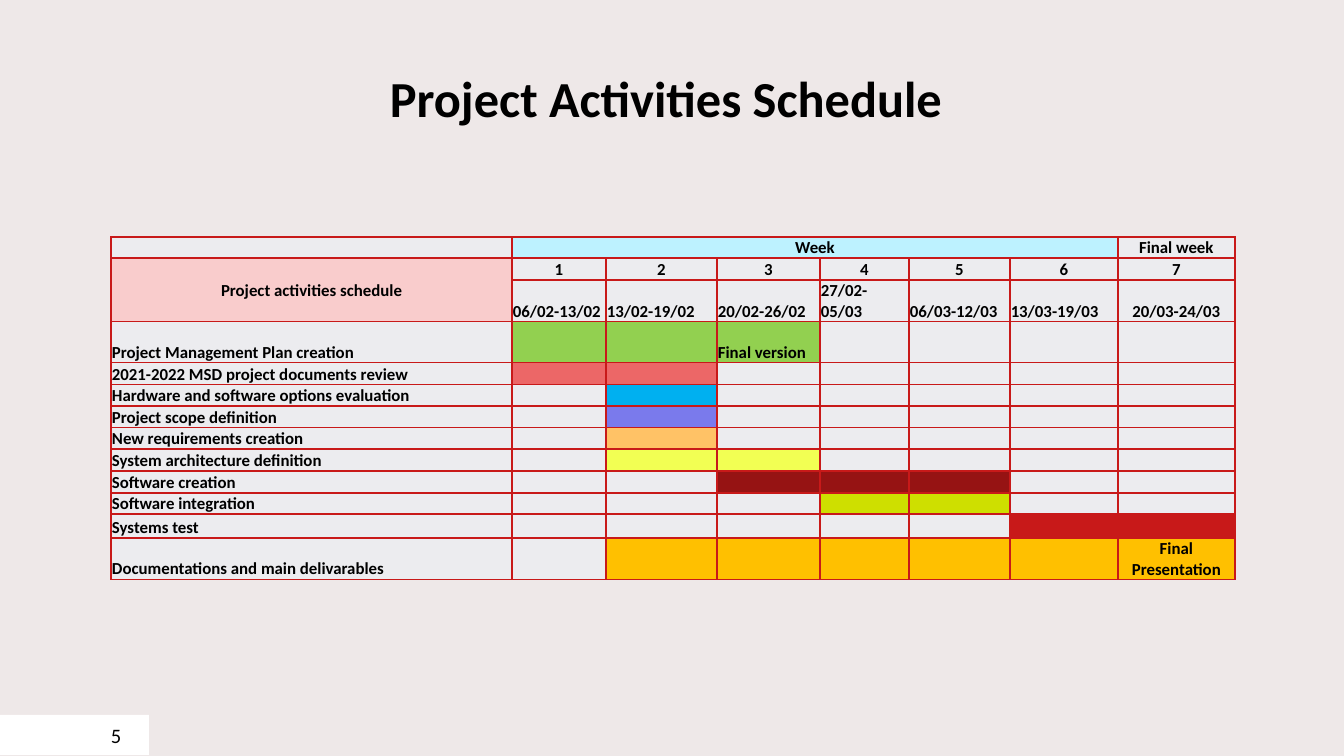
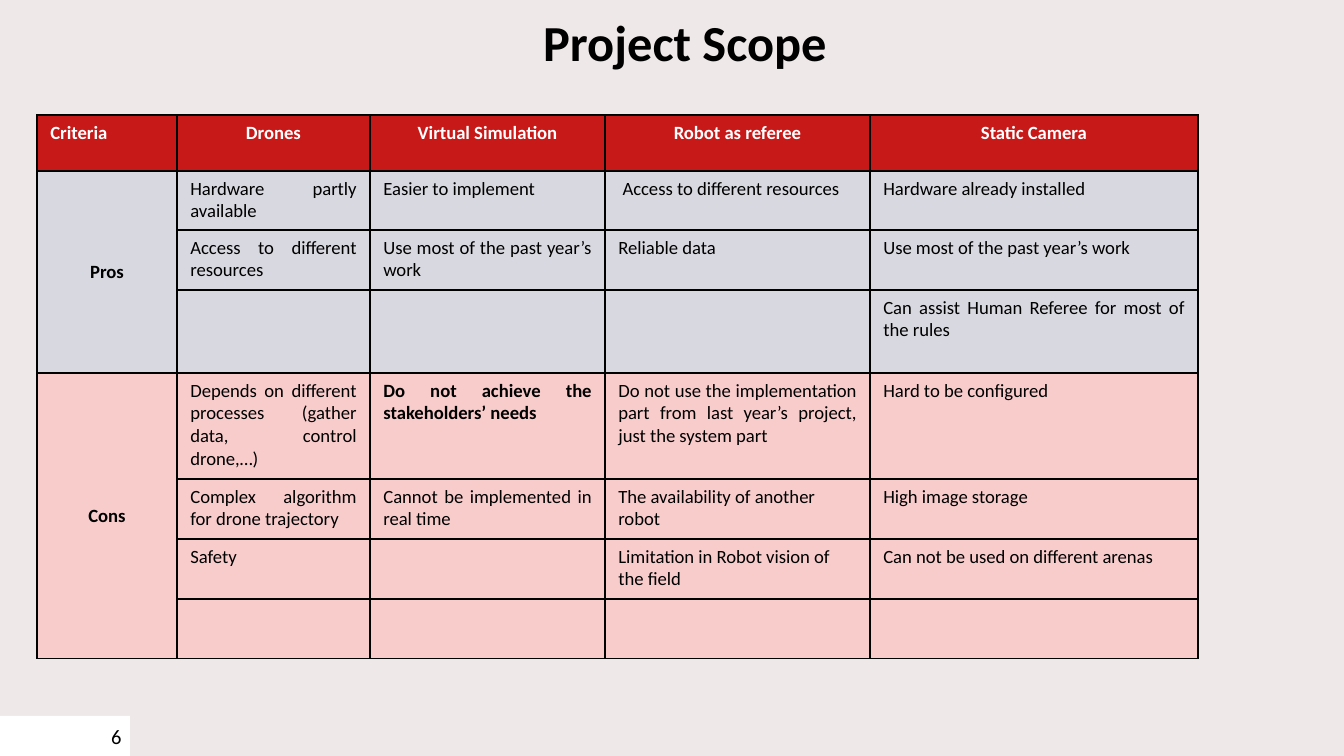
from lxml.etree import SubElement
from pptx import Presentation
from pptx.dml.color import RGBColor
from pptx.enum.shapes import MSO_SHAPE
from pptx.enum.text import MSO_ANCHOR, PP_ALIGN
from pptx.oxml.ns import qn
from pptx.util import Pt

SCALE = 914400 / 134.4
BACK = RGBColor(0xEE, 0xE8, 0xE8)
BLACK = RGBColor(0, 0, 0)
WHITE = RGBColor(0xFF, 0xFF, 0xFF)
RED = RGBColor(0xC8, 0x19, 0x19)
PINK = RGBColor(0xF9, 0xCC, 0xCC)
GREY = RGBColor(0xEC, 0xEC, 0xEF)
SLATE = RGBColor(0xD8, 0xD8, 0xE0)
AQUA = RGBColor(0xBD, 0xF2, 0xFF)
GREEN = RGBColor(0x92, 0xD0, 0x50)
CORAL = RGBColor(0xEC, 0x67, 0x67)
BLUE = RGBColor(0x00, 0xB0, 0xF0)
VIOLET = RGBColor(0x7A, 0x7A, 0xEC)
PEACH = RGBColor(0xFF, 0xC2, 0x66)
YELLOW = RGBColor(0xF2, 0xFF, 0x53)
MAROON = RGBColor(0x96, 0x13, 0x13)
LIME = RGBColor(0xCE, 0xDF, 0x00)
GOLD = RGBColor(0xFF, 0xC0, 0x00)

LEFT, CENTER, JUSTIFY = PP_ALIGN.LEFT, PP_ALIGN.CENTER, PP_ALIGN.JUSTIFY
TITLE = {"name": "Calibri", "size": Pt(27), "bold": True}
NUMBER = {"name": "Calibri", "size": Pt(11), "bold": False}
SMALL = {"name": "Calibri", "size": Pt(9), "bold": True}
STRONG = {"name": "Calibri", "size": Pt(10), "bold": True}
PLAIN = {"name": "Calibri", "size": Pt(10), "bold": False}


def write(frame, text, style, align=LEFT, ink=BLACK):
    para = frame.paragraphs[0]
    para.alignment = align
    if not text:
        SubElement(para._p, qn("a:endParaRPr"), sz=str(int(style["size"].pt * 100)))
        return para
    run = para.add_run()
    run.text = text
    for key, value in style.items():
        setattr(run.font, key, value)
    run.font.color.rgb = ink
    return para


def add_grid(slide, left, top, widths, heights, ink):
    box = [round(v * SCALE) for v in (left, top, sum(widths), sum(heights))]
    table = slide.shapes.add_table(len(heights), len(widths), *box).table
    table.first_row = table.horz_banding = False
    for column, width in zip(table.columns, widths):
        column.width = round(width * SCALE)
    for row, height in zip(table.rows, heights):
        row.height = round(height * SCALE)
    for cell in table.iter_cells():
        props = cell._tc.get_or_add_tcPr()
        for side in ("a:lnL", "a:lnR", "a:lnT", "a:lnB"):
            line = SubElement(props, qn(side), w=str(Pt(1)))
            fill = SubElement(line, qn("a:solidFill"))
            SubElement(fill, qn("a:srgbClr"), val=str(ink))
    return table


deck = Presentation()
deck.slide_width, deck.slide_height = round(1344 * SCALE), round(756 * SCALE)

slides = []
for title, left, top, height, page, width, base in [
    ("Project Activities Schedule", 111, 77, 79, "5", 149, 715),
    ("Project Scope", 130, 21, 53, "6", 130, 716),
]:
    slide = deck.slides.add_slide(deck.slide_layouts[6])
    slide.background.fill.solid()
    slide.background.fill.fore_color.rgb = BACK
    box = [round(v * SCALE) for v in (left, top, 1110, height)]
    frame = slide.shapes.add_textbox(*box).text_frame
    frame.word_wrap = True
    frame.margin_left = frame.margin_right = frame.margin_top = frame.margin_bottom = 0
    write(frame, title, TITLE, CENTER).line_spacing = Pt(27)

    box = [round(v * SCALE) for v in (0, base, width, 40)]
    band = slide.shapes.add_shape(MSO_SHAPE.RECTANGLE, *box)
    band.shadow.inherit = False
    band.fill.solid()
    band.fill.fore_color.rgb = WHITE
    band.line.fill.background()
    frame = band.text_frame
    frame.margin_left = round(111 * SCALE)
    frame.margin_right = frame.margin_top = frame.margin_bottom = 0
    frame.vertical_anchor = MSO_ANCHOR.MIDDLE
    write(frame, page, NUMBER)
    slides.append(slide)

tasks = [
    ("Project Management Plan creation", 1, 3, GREEN),
    ("2021-2022 MSD project documents review", 1, 2, CORAL),
    ("Hardware and software options evaluation", 2, 2, BLUE),
    ("Project scope definition", 2, 2, VIOLET),
    ("New requirements creation", 2, 2, PEACH),
    ("System architecture definition", 2, 3, YELLOW),
    ("Software creation", 3, 5, MAROON),
    ("Software integration", 4, 5, LIME),
    ("Systems test", 6, 7, RED),
    ("Documentations and main delivarables", 2, 7, GOLD),
]
dates = ["06/02-13/02", "13/02-19/02", "20/02-26/02", "27/02-05/03",
         "06/03-12/03", "13/03-19/03", "20/03-24/03"]
texts = {(0, 1): "Week", (0, 7): "Final week", (1, 0): "Project activities schedule",
         (3, 3): "Final version", (12, 7): "Final Presentation"}
fills = {(0, week): AQUA for week in range(1, 7)}
fills.update({(1, 0): PINK, (2, 0): PINK})
for week, date in enumerate(dates, 1):
    texts[1, week] = str(week)
    texts[2, week] = date
for row, (label, first, last, shade) in enumerate(tasks, 3):
    texts[row, 0] = label
    for week in range(first, last + 1):
        fills[row, week] = shade

widths = [401, 94, 111, 103, 89, 101, 108, 117]
heights = [21, 22, 41, 41, 22, 21, 22, 21, 22, 22, 21, 24, 41]
plan = add_grid(slides[0], 111, 237, widths, heights, RED)
for row in range(len(heights)):
    for col in range(len(widths)):
        cell = plan.cell(row, col)
        cell.margin_left = cell.margin_right = cell.margin_top = round(SCALE)
        cell.margin_bottom = 0
        cell.vertical_anchor = MSO_ANCHOR.BOTTOM
        cell.fill.solid()
        cell.fill.fore_color.rgb = fills.get((row, col), GREY)
        align = CENTER if row < 2 or col == 7 else LEFT
        write(cell.text_frame, texts.get((row, col), ""), SMALL, align)
plan.cell(0, 1).merge(plan.cell(0, 6))
plan.cell(1, 0).merge(plan.cell(2, 0))
plan.cell(1, 0).vertical_anchor = MSO_ANCHOR.MIDDLE

scope = [
    ["Criteria", "Drones", "Virtual Simulation", "Robot as referee", "Static Camera"],
    ["Pros", "Hardware partly available", "Easier to implement",
     "\u00a0Access to different resources", "Hardware already installed"],
    ["", "Access to different resources", "Use most of the past year’s work",
     "Reliable data", "Use most of the past year’s work"],
    ["", "", "", "", "Can assist Human Referee for most of the rules"],
    ["Cons", "Depends on different processes (gather data, control drone,…)",
     "Do not achieve the stakeholders’ needs",
     "Do not use the implementation part from last year’s project, just the system part",
     "Hard to be configured"],
    ["", "Complex algorithm for drone trajectory", "Cannot be implemented in real time",
     "The availability of another robot", "High image storage"],
    ["", "Safety", "", "Limitation in Robot vision of the field",
     "Can not be used on different arenas"],
    ["", "", "", "", ""],
]
shades = [RED] + [SLATE] * 3 + [PINK] * 4
grid = add_grid(slides[1], 37, 115, [140, 193, 235, 265, 328],
                [56, 59, 60, 83, 106, 60, 60, 60], BLACK)
for row, line in enumerate(scope):
    for col, text in enumerate(line):
        cell = grid.cell(row, col)
        cell.fill.solid()
        cell.fill.fore_color.rgb = shades[row]
        strong = row == 0 or col == 0 or (row, col) == (4, 2)
        if (row == 0) != (col == 0):
            align = CENTER
        elif row in (0, 6) or (col == 3 and row != 4):
            align = LEFT
        else:
            align = JUSTIFY
        write(cell.text_frame, text, STRONG if strong else PLAIN, align,
              BLACK if row else WHITE)
for first, last in [(1, 3), (4, 7)]:
    grid.cell(first, 0).merge(grid.cell(last, 0))
    grid.cell(first, 0).vertical_anchor = MSO_ANCHOR.MIDDLE

deck.save("out.pptx")
